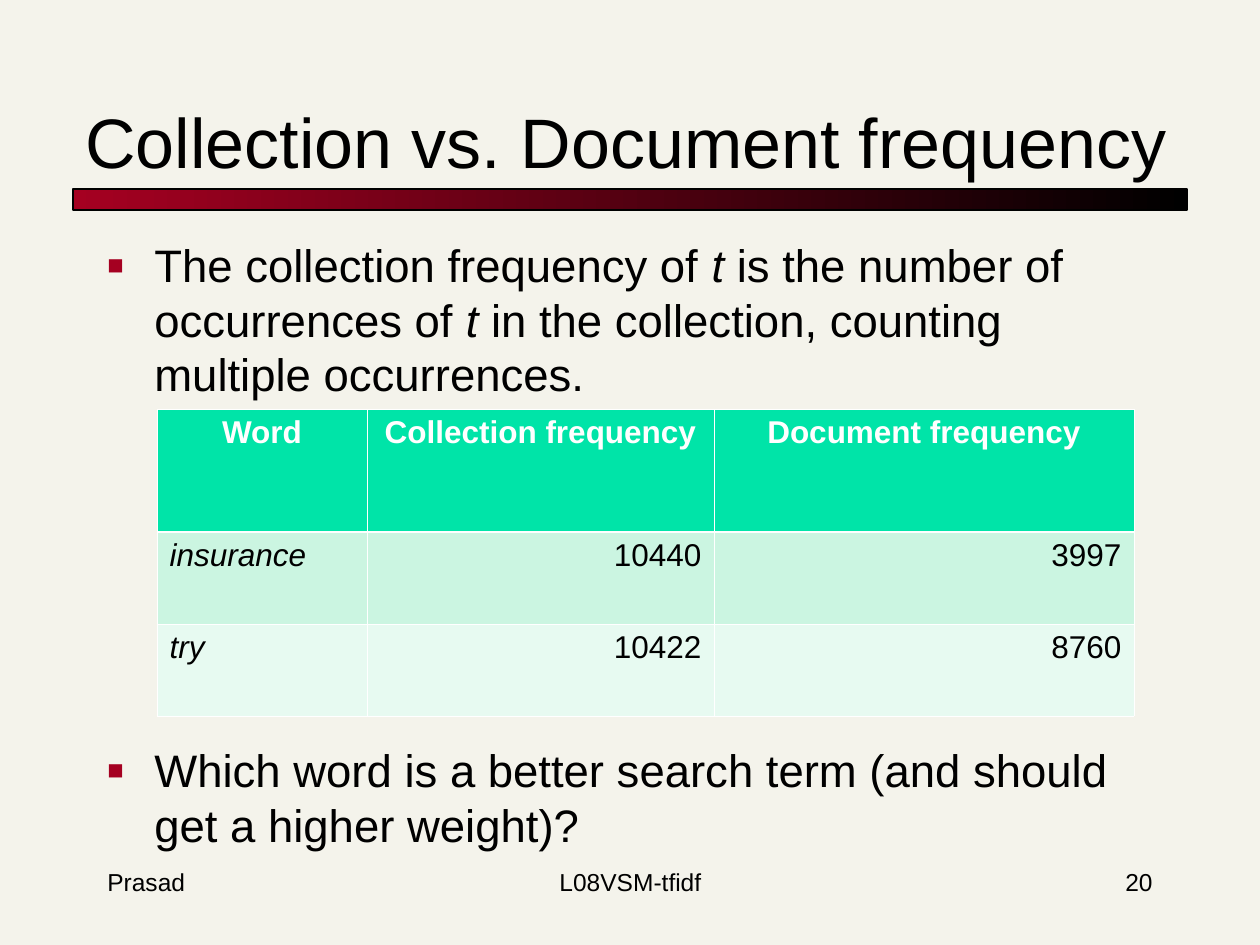
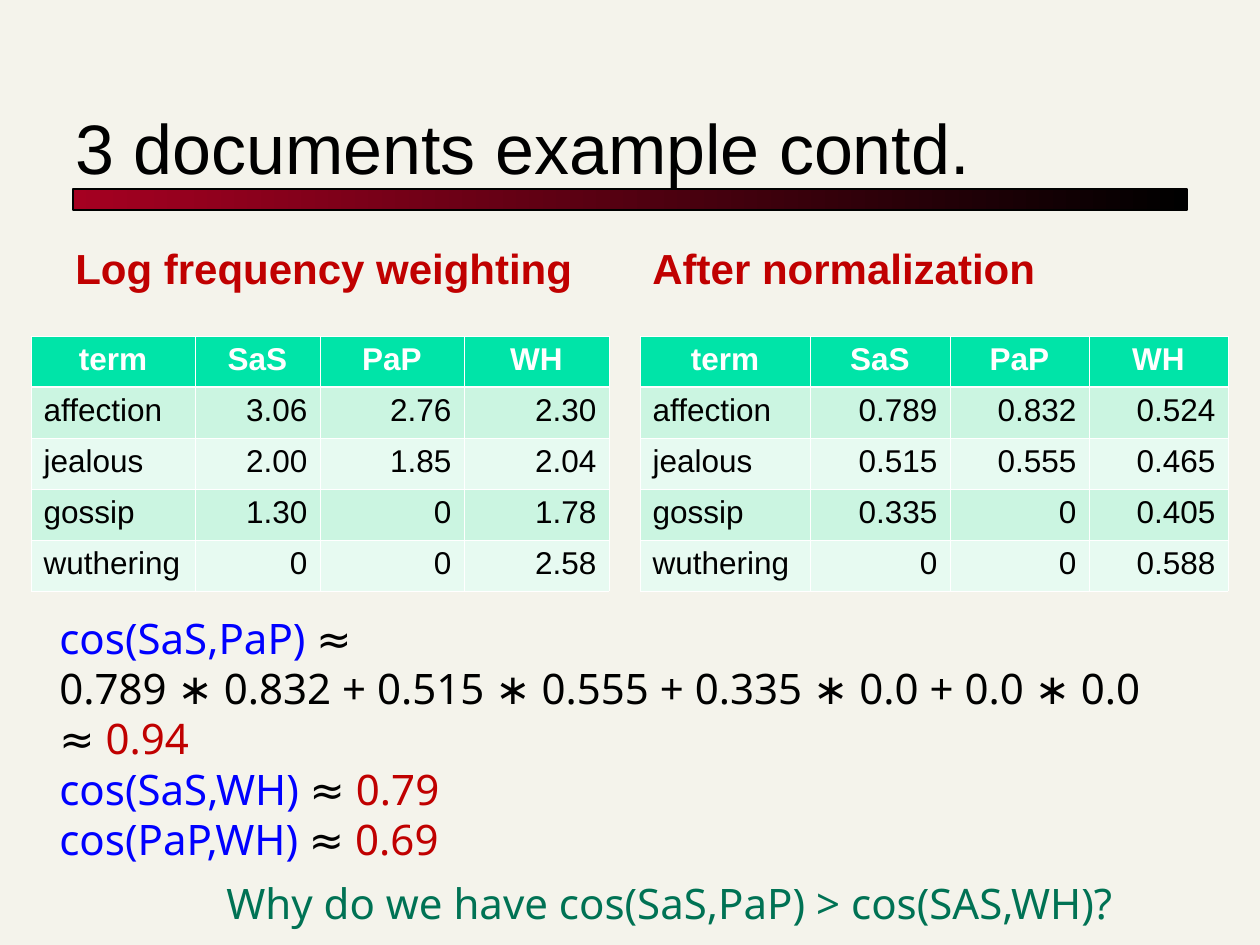
from dataclasses import dataclass
from typing import NamedTuple

from lxml.etree import SubElement
from pptx import Presentation
from pptx.dml.color import RGBColor
from pptx.enum.shapes import MSO_SHAPE
from pptx.enum.text import MSO_ANCHOR, PP_ALIGN
from pptx.oxml.ns import qn
from pptx.util import Pt

# Shared scale, fonts and colours
EMU = 914400 / 126
SANS, MATH = "Arial", "Noto Sans"
BLACK, WHITE, PAPER = "000000", "FFFFFF", "F4F3EB"
WINE, RED, BLUE, PINE = "A50021", "C00000", "0000FF", "007254"
HEAD, BANDS = "00E4A8", ("CBF5E1", "E7FAF1")
LEFT, MID, RIGHT = PP_ALIGN.LEFT, PP_ALIGN.CENTER, PP_ALIGN.RIGHT
THIN, THICK = 0.45, 1.47


class Box(NamedTuple):
    left: int
    top: int
    width: int
    height: int


class Run(NamedTuple):
    text: str
    hue: str | None = None
    slant: bool = False


@dataclass
class Grid:
    left: int
    top: int
    cols: list[int]
    rows: list[int]
    data: list[list[str]]
    slant: bool = False


def px(size: int) -> int:
    return round(size * EMU)


def place(box: Box) -> list[int]:
    return [px(side) for side in box]


def tint(code: str) -> RGBColor:
    return RGBColor.from_string(code)


# Text
def mark(para) -> None:
    """Give a paragraph a small square bullet and a hanging indent."""
    props = para._p.get_or_add_pPr()
    props.set("marL", str(px(47)))
    props.set("indent", str(-px(47)))
    SubElement(SubElement(props, qn("a:buClr")), qn("a:srgbClr"), val=WINE)
    SubElement(props, qn("a:buSzPct"), val="60000")
    SubElement(props, qn("a:buFont"), typeface=SANS)
    SubElement(props, qn("a:buChar"), char="■")


def write(frame, *lines, size: float = 18, font: str = SANS, hue: str = BLACK,
          bold: bool = False, align=LEFT, pitch: float = 0, gap: float = 0,
          dots: bool = False) -> None:
    """Fill a frame; each line is a string or a list of runs."""
    for i, line in enumerate(lines):
        para = frame.paragraphs[0] if i == 0 else frame.add_paragraph()
        if dots:
            mark(para)
        para.alignment = align
        if pitch:
            para.line_spacing = Pt(pitch)
        if gap and i:
            para.space_before = Pt(gap)
        for part in [Run(line)] if isinstance(line, str) else line:
            run = para.add_run()
            run.text = part.text
            run.font.size, run.font.name = Pt(size), font
            run.font.bold, run.font.italic = bold, part.slant
            run.font.color.rgb = tint(part.hue or hue)


def label(slide, box: Box, *lines, anchor=MSO_ANCHOR.TOP, **style) -> None:
    frame = slide.shapes.add_textbox(*place(box)).text_frame
    frame.word_wrap, frame.vertical_anchor = True, anchor
    write(frame, *lines, **style)


# Tables
def edge(cell, top: float, base: float) -> None:
    props = cell._tc.get_or_add_tcPr()
    for side, width in zip("LRTB", (THIN, THIN, top, base)):
        line = SubElement(props, qn(f"a:ln{side}"), w=str(Pt(width)))
        fill = SubElement(line, qn("a:solidFill"))
        SubElement(fill, qn("a:srgbClr"), val=WHITE)


def chart(slide, grid: Grid) -> None:
    box = Box(grid.left, grid.top, sum(grid.cols), sum(grid.rows))
    table = slide.shapes.add_table(
        len(grid.rows), len(grid.cols), *place(box)).table
    for col, width in zip(table.columns, grid.cols):
        col.width = px(width)
    for r, (row, high) in enumerate(zip(grid.data, grid.rows)):
        table.rows[r].height = px(high)
        for c, text in enumerate(row):
            cell = table.cell(r, c)
            edge(cell, THICK if r == 1 else THIN, THICK if r == 0 else THIN)
            cell.fill.solid()
            cell.fill.fore_color.rgb = tint(BANDS[(r - 1) % 2] if r else HEAD)
            if r == 0:
                write(cell.text_frame, text, hue=WHITE, bold=True, align=MID)
            else:
                write(cell.text_frame, [Run(text, slant=grid.slant and c == 0)],
                      align=RIGHT if c else LEFT)


# Slide base: paper, gradient bar and title
def start(deck, title: str, box: Box):
    slide = deck.slides.add_slide(deck.slide_layouts[6])
    slide.background.fill.solid()
    slide.background.fill.fore_color.rgb = tint(PAPER)
    bar = slide.shapes.add_shape(
        MSO_SHAPE.RECTANGLE, *place(Box(73, 189, 1114, 21)))
    bar.shadow.inherit = False
    bar.fill.gradient()
    bar.fill.gradient_angle = 0
    for stop, hue, at in zip(bar.fill.gradient_stops, (WINE, BLACK), (0, 1)):
        stop.color.rgb, stop.position = tint(hue), at
    bar.line.color.rgb, bar.line.width = tint(BLACK), Pt(0.75)
    label(slide, box, title, size=40, anchor=MSO_ANCHOR.BOTTOM)
    return slide


def counts(deck) -> None:
    slide = start(deck, "Collection vs. Document frequency",
                  Box(73, 53, 1113, 136))
    term = Run("t", slant=True)
    label(slide, Box(95, 231, 1071, 672),
          [Run("The collection frequency of "), term,
           Run(" is the number of occurrences of "), term,
           Run(" in the collection, counting multiple occurrences.")],
          "Which word is a better search term (and should get a higher weight)?",
          size=26, pitch=31.2, gap=195, dots=True)
    chart(slide, Grid(157, 409, [210, 347, 420], [123, 92, 92], [
        ["Word", "Collection frequency", "Document frequency"],
        ["insurance", "10440", "3997"],
        ["try", "10422", "8760"]], slant=True))
    # Footer
    for left, width, text, align in ((95, 262, "Prasad", LEFT),
                                     (431, 399, "L08VSM-tfidf", MID),
                                     (903, 262, "20", RIGHT)):
        label(slide, Box(left, 861, width, 63), text, size=14, align=align)


def scores(deck) -> None:
    slide = start(deck, "3 documents example contd.", Box(63, 38, 1134, 157))
    names = ["term", "SaS", "PaP", "WH"]
    # Two headed tables, side by side
    logs = Grid(31, 336, [164, 125, 144, 145], [51] * 5, [
        names,
        ["affection", "3.06", "2.76", "2.30"],
        ["jealous", "2.00", "1.85", "2.04"],
        ["gossip", "1.30", "0", "1.78"],
        ["wuthering", "0", "0", "2.58"]])
    norms = Grid(640, 336, [170, 140, 139, 139], [51] * 5, [
        names,
        ["affection", "0.789", "0.832", "0.524"],
        ["jealous", "0.515", "0.555", "0.465"],
        ["gossip", "0.335", "0", "0.405"],
        ["wuthering", "0", "0", "0.588"]])
    for left, text, grid in ((63, "Log frequency weighting", logs),
                             (640, "After normalization", norms)):
        label(slide, Box(left, 211, 557, 88), text, size=24, hue=RED,
              bold=True, anchor=MSO_ANCHOR.BOTTOM)
        chart(slide, grid)
    # Cosine sums and closing question
    style = dict(size=24, font=MATH, pitch=28.8)
    label(slide, Box(47, 606, 1135, 265),
          [Run("cos(SaS,PaP) ", BLUE), Run("≈")],
          "0.789 ∗ 0.832 + 0.515 ∗ 0.555 + 0.335 ∗ 0.0 + 0.0 ∗ 0.0",
          [Run("≈ "), Run("0.94", RED)],
          [Run("cos(SaS,WH)", BLUE), Run(" ≈ "), Run("0.79", RED)],
          [Run("cos(PaP,WH) ", BLUE), Run("≈ "), Run("0.69", RED)],
          **style)
    label(slide, Box(214, 871, 935, 63),
          "Why do we have cos(SaS,PaP) > cos(SAS,WH)?", hue=PINE, **style)


def main() -> None:
    deck = Presentation()
    deck.slide_width, deck.slide_height = px(1260), px(945)
    counts(deck)
    scores(deck)
    deck.save("out.pptx")


if __name__ == "__main__":
    main()
